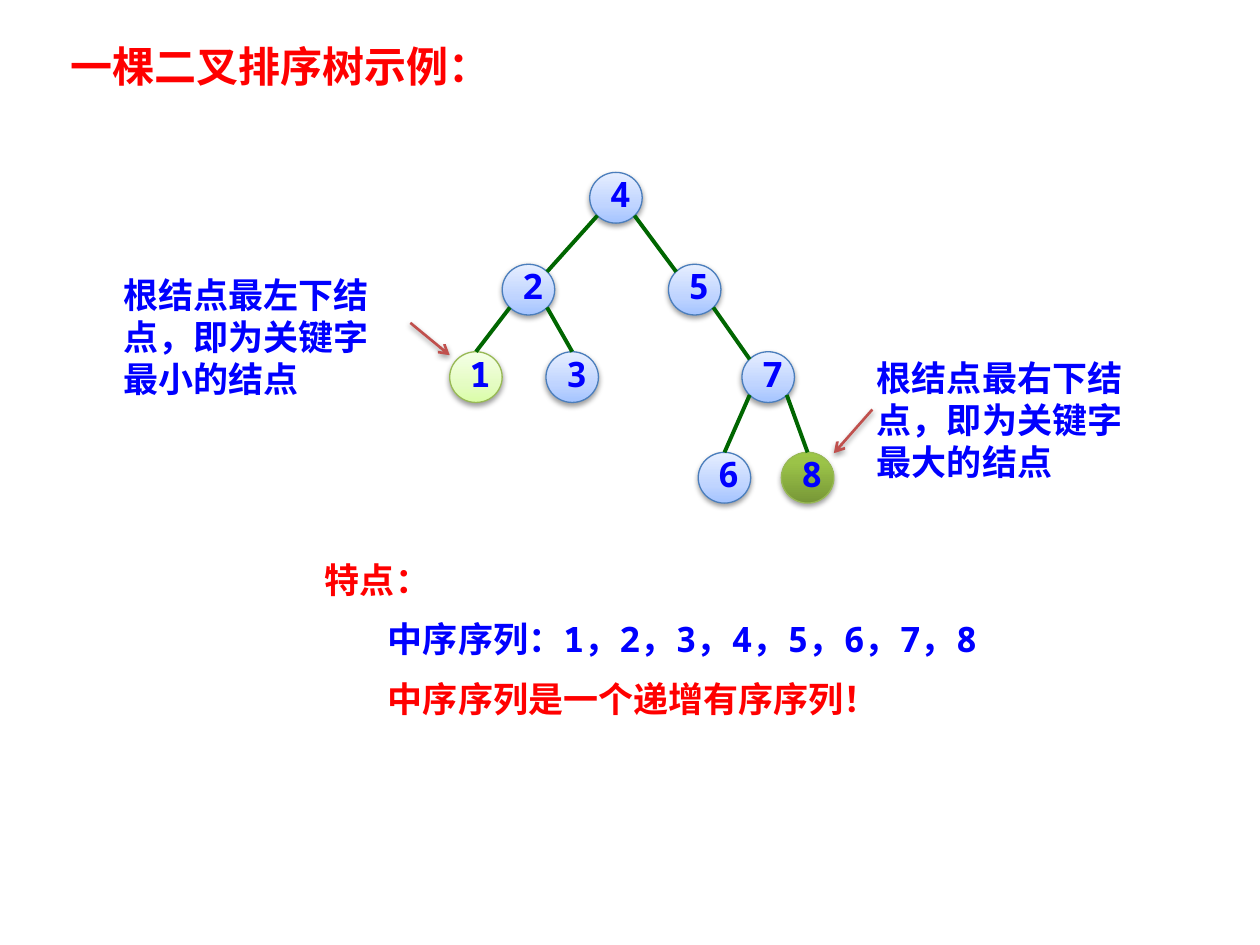
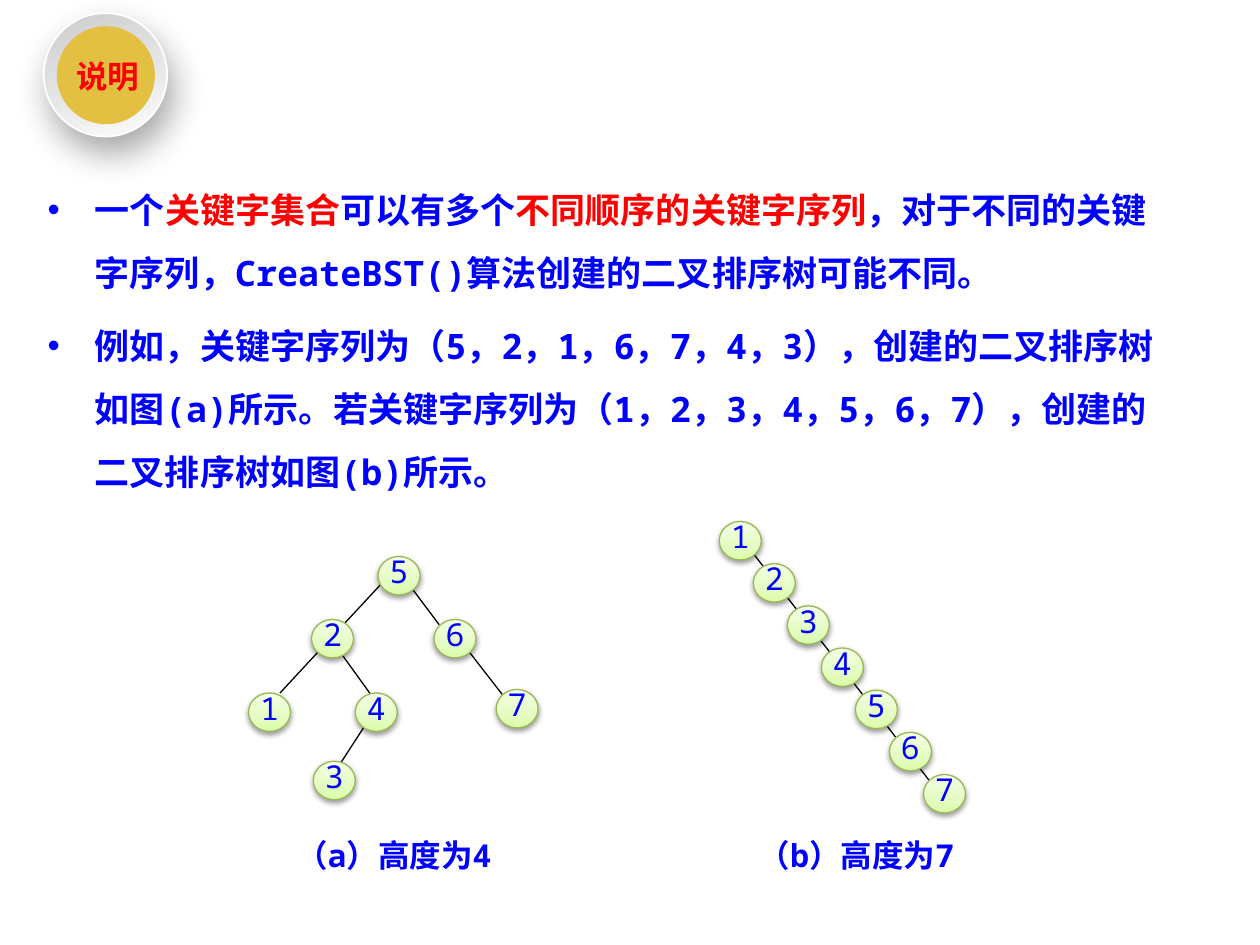
from lxml.etree import SubElement
from pptx import Presentation
from pptx.dml.color import RGBColor
from pptx.enum.shapes import MSO_CONNECTOR, MSO_SHAPE
from pptx.enum.text import MSO_ANCHOR, MSO_AUTO_SIZE, PP_ALIGN
from pptx.oxml.ns import qn
from pptx.util import Pt

BLUE = RGBColor(0x00, 0x00, 0xFF)
RED = RGBColor(0xFF, 0x00, 0x00)
GREEN = RGBColor(0x00, 0x66, 0x00)
BRICK = RGBColor(0xC0, 0x50, 0x4D)
GOLD = RGBColor(0xE3, 0xBF, 0x42)
BLACK = RGBColor(0x00, 0x00, 0x00)
WHITE = RGBColor(0xFF, 0xFF, 0xFF)
SKY_LINE = RGBColor(0x4B, 0x7E, 0xBC)
LIME_LINE = RGBColor(0x98, 0xB9, 0x55)

# Gradient stops: percent and colour
SKY = [(0, RGBColor(0xA4, 0xC4, 0xFF)), (35, RGBColor(0xBF, 0xD4, 0xFF)),
       (100, RGBColor(0xE6, 0xEE, 0xFF))]
LIME = [(0, RGBColor(0xDA, 0xFD, 0xA7)), (35, RGBColor(0xE4, 0xFC, 0xC2)),
        (100, RGBColor(0xF5, 0xFF, 0xE7))]
LEAF = [(0, RGBColor(0x77, 0x97, 0x37)), (80, RGBColor(0x9B, 0xC3, 0x48)),
        (100, RGBColor(0x9D, 0xC7, 0x46))]
STEEL = [(0, RGBColor(0xCC, 0xCC, 0xCC)), (100, RGBColor(0xFC, 0xFC, 0xFC))]

MONO = "Noto Sans Mono"
HAN = "Noto Sans CJK SC"


def add_run(par, text, color=BLUE, size=20, bold=True, face=MONO):
    run = par.add_run()
    run.text = text
    font = run.font
    font.name, font.size, font.bold = face, Pt(size), bold
    font.color.rgb = color
    SubElement(font._element, qn("a:ea"), typeface=HAN)


def set_par(par, align=PP_ALIGN.LEFT, before=10, line=1.0):
    par.alignment = align
    par.space_before = Pt(before)
    par.line_spacing = line


def set_box(shape, x, y, w, h, wrap=True):
    """Place a text shape and return its frame, anchored at the top."""
    shape.left, shape.top, shape.width, shape.height = map(Pt, (x, y, w, h))
    frame = shape.text_frame
    frame.auto_size = MSO_AUTO_SIZE.NONE
    frame.word_wrap = wrap
    frame.vertical_anchor = MSO_ANCHOR.TOP
    return frame


def no_inset(frame):
    frame.margin_left = frame.margin_top = 0
    frame.margin_right = frame.margin_bottom = 0


def no_bullet(par, left=0):
    props = par._p.get_or_add_pPr()
    props.set("marL", str(Pt(left)))
    props.set("indent", "0")
    SubElement(props, qn("a:buNone"))


def shade(shape, blur=3.1, dist=1.6, angle=90, alpha=38):
    """Give a shape or connector an outer shadow."""
    effects = SubElement(shape._element.spPr, qn("a:effectLst"))
    outer = SubElement(effects, qn("a:outerShdw"), blurRad=str(Pt(blur)),
                       dist=str(Pt(dist)), dir=str(angle * 60000),
                       rotWithShape="0")
    tint = SubElement(outer, qn("a:srgbClr"), val=str(BLACK))
    SubElement(tint, qn("a:alpha"), val=str(alpha * 1000))


def blend(shape, stops, angle=90):
    """Fill with a gradient; the angle runs counter-clockwise."""
    shape.fill.gradient()
    shape.fill.gradient_angle = angle
    bands = shape._element.spPr.find(qn("a:gradFill")).find(qn("a:gsLst"))
    for stop in list(bands):
        bands.remove(stop)
    for spot, color in stops:
        stop = SubElement(bands, qn("a:gs"), pos=str(spot * 1000))
        SubElement(stop, qn("a:srgbClr"), val=str(color))


def add_disc(slide, x, y, w, h):
    return slide.shapes.add_shape(MSO_SHAPE.OVAL, Pt(x), Pt(y), Pt(w), Pt(h))


def add_node(slide, x, y, w, h, stops, edge):
    disc = add_disc(slide, x, y, w, h)
    blend(disc, stops)
    disc.line.color.rgb = edge
    disc.line.width = Pt(0.75)
    shade(disc)
    return disc.text_frame


def add_line(slide, start, end, color, width):
    line = slide.shapes.add_connector(
        MSO_CONNECTOR.STRAIGHT, *map(Pt, (*start, *end)))
    line.line.color.rgb = color
    line.line.width = Pt(width)
    return line


def add_edge(slide, start, end, color=BLACK, width=0.75):
    line = add_line(slide, start, end, color, width)
    SubElement(line._element.spPr, qn("a:effectLst"))


def add_arrow(slide, start, end):
    line = add_line(slide, start, end, BRICK, 1.5)
    SubElement(line.line._get_or_add_ln(), qn("a:tailEnd"), type="arrow")
    shade(line)


def add_note(slide, x, y, w, text):
    box = slide.shapes.add_textbox(0, 0, 0, 0)
    par = set_box(box, x, y, w, 80).paragraphs[0]
    set_par(par)
    add_run(par, text)


def draw_tree(slide, x, y):
    """Draw the sample tree; inner nodes meet edges at their corners."""
    wide, high = 30, 29
    spots = {4: (80, 0), 2: (30, 52.5), 1: (0, 102.5), 3: (55, 102.5),
             5: (125, 52.5), 7: (167, 102.5), 6: (142, 160), 8: (189.5, 160)}
    kids = {4: (2, 5), 2: (1, 3), 5: (None, 7), 7: (6, 8)}
    looks = {1: (LIME, LIME_LINE), 8: (LEAF, LIME_LINE)}
    mids = {key: (x + dx + wide / 2, y + dy + high / 2)
            for key, (dx, dy) in spots.items()}
    for key, (dx, dy) in spots.items():
        frame = add_node(slide, x + dx, y + dy, wide, high,
                         *looks.get(key, (SKY, SKY_LINE)))
        par = frame.paragraphs[0]
        set_par(par, line=0.8)
        add_run(par, str(key))
    for key, pair in kids.items():
        for side, kid in zip((-1, 1), pair):
            if kid is None:
                continue
            px, py = mids[key]
            kx, ky = mids[kid]
            start = (px + side * 10.6, py + 10.2)
            end = (kx - side * 10.6, ky - 10.2) if kid in kids else (kx, ky - high / 2)
            add_edge(slide, start, end, GREEN, 2.25)


def draw_plot(slide, x, y, nodes, edges, label, lx, ly):
    """Draw a small tree with its caption, from offsets within its box."""
    for ax, ay, bx, by in edges:
        add_edge(slide, (x + ax, y + ay), (x + bx, y + by))
    for key, (dx, dy) in nodes.items():
        frame = add_node(slide, x + dx, y + dy, 24, 22, LIME, LIME_LINE)
        no_inset(frame)
        frame.vertical_anchor = MSO_ANCHOR.TOP
        par = frame.paragraphs[0]
        set_par(par, PP_ALIGN.CENTER, 0, Pt(16))
        add_run(par, str(key), size=18, bold=False)
    box = slide.shapes.add_textbox(0, 0, 0, 0)
    frame = set_box(box, x + lx, y + ly, 112, 22)
    no_inset(frame)
    par = frame.paragraphs[0]
    set_par(par, PP_ALIGN.CENTER, 0)
    add_run(par, label, size=18)


def draw_badge(slide, x, y):
    """Draw the round badge that carries the slide title."""
    ring = add_disc(slide, x, y, 70.5, 70.5)
    blend(ring, STEEL, 290)
    ring.line.color.rgb = WHITE
    ring.line.width = Pt(1)
    shade(ring, 20, 10, 70, 34)
    core = add_disc(slide, x + 7.5, y + 7.5, 56, 56)
    core.shadow.inherit = False
    core.fill.solid()
    core.fill.fore_color.rgb = GOLD
    core.line.fill.background()
    title = slide.shapes.title
    par = set_box(title, x + 11, y + 25.5, 51, 24.5, wrap=False).paragraphs[0]
    set_par(par, PP_ALIGN.CENTER, line=0.8)
    add_run(par, "说明", RED, 18, face=HAN)
    slide.shapes._spTree.append(title._element)


def build_sample(deck):
    slide = deck.slides.add_slide(deck.slide_layouts[1])
    par = set_box(slide.shapes.title, 33, 19.5, 241, 36).paragraphs[0]
    set_par(par)
    add_run(par, "一棵二叉排序树示例：", RED, 24)

    frame = set_box(slide.placeholders[1], 178.5, 315.5, 422, 104)
    traits = [("特点：", RED, HAN, 0),
              ("中序序列：1，2，3，4，5，6，7，8", BLUE, MONO, 1),
              ("中序序列是一个递增有序序列！", RED, MONO, 1)]
    for i, (text, color, face, level) in enumerate(traits):
        par = frame.add_paragraph() if i else frame.paragraphs[0]
        par.level = level
        set_par(par)
        no_bullet(par, 36 * level)
        add_run(par, text, color, face=face)

    draw_tree(slide, 257, 98.5)
    add_note(slide, 63.5, 152.5, 162, "根结点最左下结点，即为关键字最小的结点")
    add_note(slide, 494, 200, 165, "根结点最右下结点，即为关键字最大的结点")
    add_arrow(slide, (498.5, 234), (476.5, 259))
    add_arrow(slide, (234.5, 184.5), (257, 203))


def build_notes(deck):
    slide = deck.slides.add_slide(deck.slide_layouts[1])
    frame = set_box(slide.placeholders[1], 20, 92, 661, 191)
    points = [
        [("一个", BLUE), ("关键字集合", RED), ("可以有多个", BLUE),
         ("不同顺序的关键字序列", RED),
         ("，对于不同的关键字序列，CreateBST()算法创建的二叉排序树可能不同。", BLUE)],
        [("例如，关键字序列为（5，2，1，6，7，4，3），创建的二叉排序树如图(a)所示。"
          "若关键字序列为（1，2，3，4，5，6，7），创建的二叉排序树如图(b)所示。", BLUE)],
    ]
    for i, runs in enumerate(points):
        par = frame.add_paragraph() if i else frame.paragraphs[0]
        set_par(par, before=6, line=1.5)
        for text, color in runs:
            add_run(par, text, color)

    bushy = {5: (74, 0), 2: (36, 36), 6: (106, 36), 1: (0, 78), 4: (61, 78),
             3: (37, 117), 7: (141.5, 76)}
    links = [(76, 15.5, 18, 78), (53, 55.5, 70, 79), (66, 97.5, 53, 117.5),
             (94, 19, 109, 39), (126.5, 55, 145.5, 79.5)]
    draw_plot(slide, 142, 318, bushy, links, "（a）高度为4", 27, 160)
    chain = {i + 1: (19.45 * i, 24.1 * i) for i in range(7)}
    draw_plot(slide, 411, 298, chain, [(20, 19, 120, 148)],
              "（b）高度为7", 22.5, 180)
    draw_badge(slide, 25, 7.5)


def main():
    deck = Presentation()
    deck.slide_width, deck.slide_height = Pt(720), Pt(540)
    build_sample(deck)
    build_notes(deck)
    deck.save("out.pptx")


if __name__ == "__main__":
    main()
